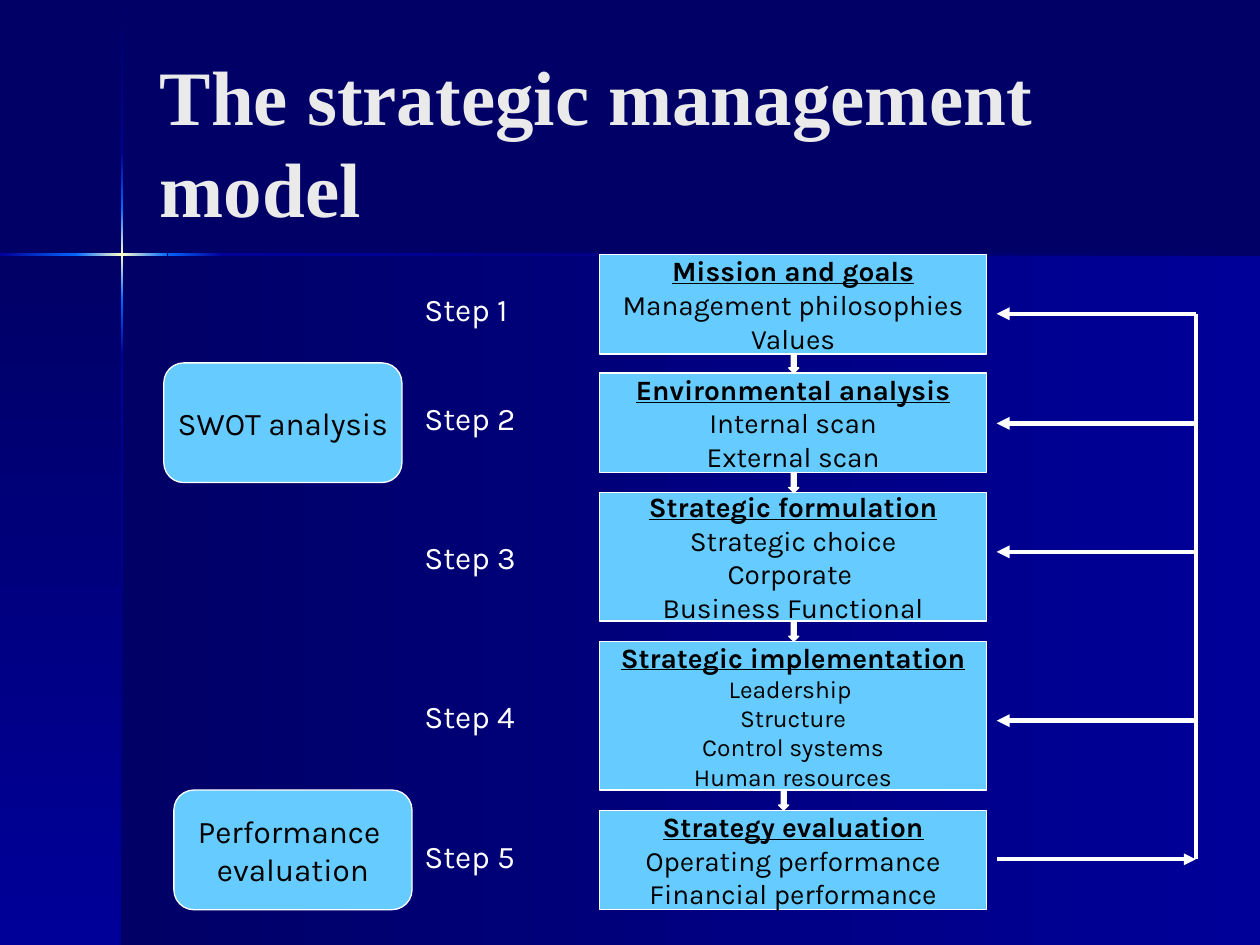
from copy import deepcopy
from typing import NamedTuple

from lxml import etree
from pptx import Presentation
from pptx import util as u
from pptx.dml.color import RGBColor
from pptx.enum import shapes, text
from pptx.oxml.ns import qn

COLORS = {
    "navy": "000066", "blue": "000099", "bright": "0066FF", "glow": "FFFFCC",
    "box": "66CCFF", "white": "FFFFFF", "black": "000000", "title": "EAEAEA",
}
KINDS = shapes.MSO_SHAPE
STAGE_LEFT, STAGE_WIDTH = 4.76, 3.07
ARROW_WIDTH = 0.08
LOOP_NEAR, LOOP_FAR = 7.91, 9.49


class Band(NamedTuple):
    left: float
    top: float
    width: float
    height: float
    stops: tuple[str, ...]
    angle: int  # clockwise: 0 runs rightwards, 90 runs downwards


class Stage(NamedTuple):
    top: float
    height: float
    heading: str
    details: tuple[str, ...]
    label_top: float
    loop_y: float
    detail_size: int = 16
    arrow_left: float = 6.26


class Note(NamedTuple):
    left: float
    top: float
    lines: tuple[str, ...]


FADE = ("navy", "blue")
RISE = ("blue", "bright")
FLARE = ("bright", "glow", "bright")
BANDS = [
    # Background panels
    Band(0.97, 2.02, 9.03, 5.48, FADE, 0),
    Band(0, 2.02, 0.97, 5.48, FADE, 90),
    # Outer parts of the crossing lines
    Band(0.96, 0.01, 0.02, 1.2, FADE, 90),
    Band(0.96, 2.82, 0.02, 4.68, FADE[::-1], 90),
    Band(1.77, 2.01, 8.23, 0.02, FADE[::-1], 0),
    # Vertical light
    Band(0.96, 2.38, 0.02, 0.44, RISE[::-1], 90),
    Band(0.96, 1.21, 0.02, 0.44, RISE, 90),
    Band(0.96, 1.65, 0.02, 0.73, FLARE, 90),
    # Horizontal light
    Band(0, 2.01, 0.61, 0.02, RISE, 0),
    Band(1.33, 2.01, 0.44, 0.02, RISE[::-1], 0),
    Band(0.6, 2.01, 0.73, 0.02, FLARE, 0),
]
STAGES = [
    Stage(2.02, 0.79, "Mission and goals",
          ("Management philosophies", "Values"), 2.25, 2.49),
    Stage(2.96, 0.79, "Environmental analysis",
          ("Internal scan", "External scan"), 3.12, 3.36),
    Stage(3.91, 1.02, "Strategic formulation",
          ("Strategic choice", "Corporate ", "Business Functional"), 4.22, 4.38),
    Stage(5.09, 1.18, "Strategic implementation",
          ("Leadership ", "Structure", "Control systems", "Human resources"),
          5.48, 5.72, detail_size=14, arrow_left=6.18),
    Stage(6.43, 0.79, "Strategy evaluation",
          ("Operating performance", "Financial performance"), 6.59, 6.82),
]
NOTES = [
    Note(1.3, 2.88, ("SWOT analysis",)),
    Note(1.38, 6.27, ("Performance ", "evaluation")),
]


def rgb(name: str) -> RGBColor:
    return RGBColor.from_string(COLORS[name])


def add_block(page, kind, left: float, top: float, width: float, height: float,
              fill: str | None = None):
    """Add a preset shape, with a plain fill and thin white line if fill is given."""
    shape = page.shapes.add_shape(
        kind, u.Inches(left), u.Inches(top), u.Inches(width), u.Inches(height))
    shape.shadow.inherit = False
    if fill:
        shape.fill.solid()
        shape.fill.fore_color.rgb = rgb(fill)
        shape.line.color.rgb = rgb("white")
        shape.line.width = u.Pt(0.75)
    return shape


def add_band(page, band: Band) -> None:
    shape = add_block(page, KINDS.RECTANGLE, *band[:4])
    shape.line.fill.background()
    shape.fill.gradient()
    shape.fill.gradient_angle = (360 - band.angle) % 360
    stop_list = shape._element.spPr.find(qn("a:gradFill")).find(qn("a:gsLst"))
    while len(stop_list) < len(band.stops):
        stop_list.append(deepcopy(stop_list[-1]))
    for index, (stop, name) in enumerate(zip(shape.fill.gradient_stops, band.stops)):
        stop.position = index / (len(band.stops) - 1)
        stop.color.rgb = rgb(name)


def write(box, line: str, *, size: int, color: str, font: str = "Karla",
          bold: bool = False, underline: bool = False, center: bool = False,
          first: bool = True) -> None:
    """Write one paragraph into a shape or text box."""
    frame = box.text_frame
    para = frame.paragraphs[0] if first else frame.add_paragraph()
    para.alignment = text.PP_ALIGN.CENTER if center else text.PP_ALIGN.LEFT
    span = para.add_run()
    span.text = line
    span.font.name, span.font.size = font, u.Pt(size)
    span.font.bold, span.font.underline = bold, underline
    span.font.color.rgb = rgb(color)


def add_text_box(page, left: float, top: float, width: float, height: float):
    box = page.shapes.add_textbox(
        u.Inches(left), u.Inches(top), u.Inches(width), u.Inches(height))
    box.text_frame.word_wrap = True
    return box


def center_frame(shape) -> None:
    shape.text_frame.word_wrap = False
    shape.text_frame.vertical_anchor = text.MSO_ANCHOR.MIDDLE


def add_stage(page, number: int, stage: Stage) -> None:
    box = add_block(page, KINDS.RECTANGLE, STAGE_LEFT, stage.top,
                    STAGE_WIDTH, stage.height, "box")
    center_frame(box)
    write(box, stage.heading, size=16, color="black", bold=True,
          underline=True, center=True)
    for line in stage.details:
        write(box, line, size=stage.detail_size, color="black",
              center=True, first=False)
    label = add_text_box(page, 3.27, stage.label_top, 1.5, 0.4)
    write(label, f"Step {number}", size=18, color="white")


def add_note(page, note: Note) -> None:
    box = add_block(page, KINDS.ROUNDED_RECTANGLE, note.left, note.top,
                    1.89, 0.95, "box")
    center_frame(box)
    for index, line in enumerate(note.lines):
        write(box, line, size=18, color="black", center=True, first=index == 0)


def add_line(page, start: tuple[float, float], end: tuple[float, float],
             width: float = 2.25, arrow: bool = True) -> None:
    line = page.shapes.add_connector(
        shapes.MSO_CONNECTOR.STRAIGHT, *map(u.Inches, start + end))
    line.line.color.rgb = rgb("white")
    line.line.width = u.Pt(width)
    if arrow:
        etree.SubElement(line.line._get_or_add_ln(), qn("a:tailEnd"), type="triangle")
    etree.SubElement(line._element.spPr, qn("a:effectLst"))


def main() -> None:
    deck = Presentation()
    deck.slide_width, deck.slide_height = u.Inches(10), u.Inches(7.5)
    page = deck.slides.add_slide(deck.slide_layouts[6])

    # Background
    page.background.fill.solid()
    page.background.fill.fore_color.rgb = rgb("navy")
    for band in BANDS:
        add_band(page, band)

    # Title
    title = add_text_box(page, 1.17, 0.33, 8.25, 1.57)
    title.text_frame.vertical_anchor = text.MSO_ANCHOR.MIDDLE
    write(title, "The strategic management model", size=44, color="title",
          font="Times New Roman", bold=True)

    # Stages and the small arrows between them
    for number, stage in enumerate(STAGES, 1):
        add_stage(page, number, stage)
    for stage, following in zip(STAGES, STAGES[1:]):
        bottom = stage.top + stage.height
        add_block(page, KINDS.DOWN_ARROW, stage.arrow_left, bottom,
                  ARROW_WIDTH, following.top - bottom, "white")

    # Feedback loop from the last stage to all earlier ones
    *targets, source = [stage.loop_y for stage in STAGES]
    for y in targets:
        add_line(page, (LOOP_FAR, y), (LOOP_NEAR, y), width=2.5)
    add_line(page, (LOOP_NEAR, source), (LOOP_FAR, source))
    add_line(page, (LOOP_FAR, targets[0]), (LOOP_FAR, source), arrow=False)

    # Side notes
    for note in NOTES:
        add_note(page, note)

    deck.save("out.pptx")


if __name__ == "__main__":
    main()
